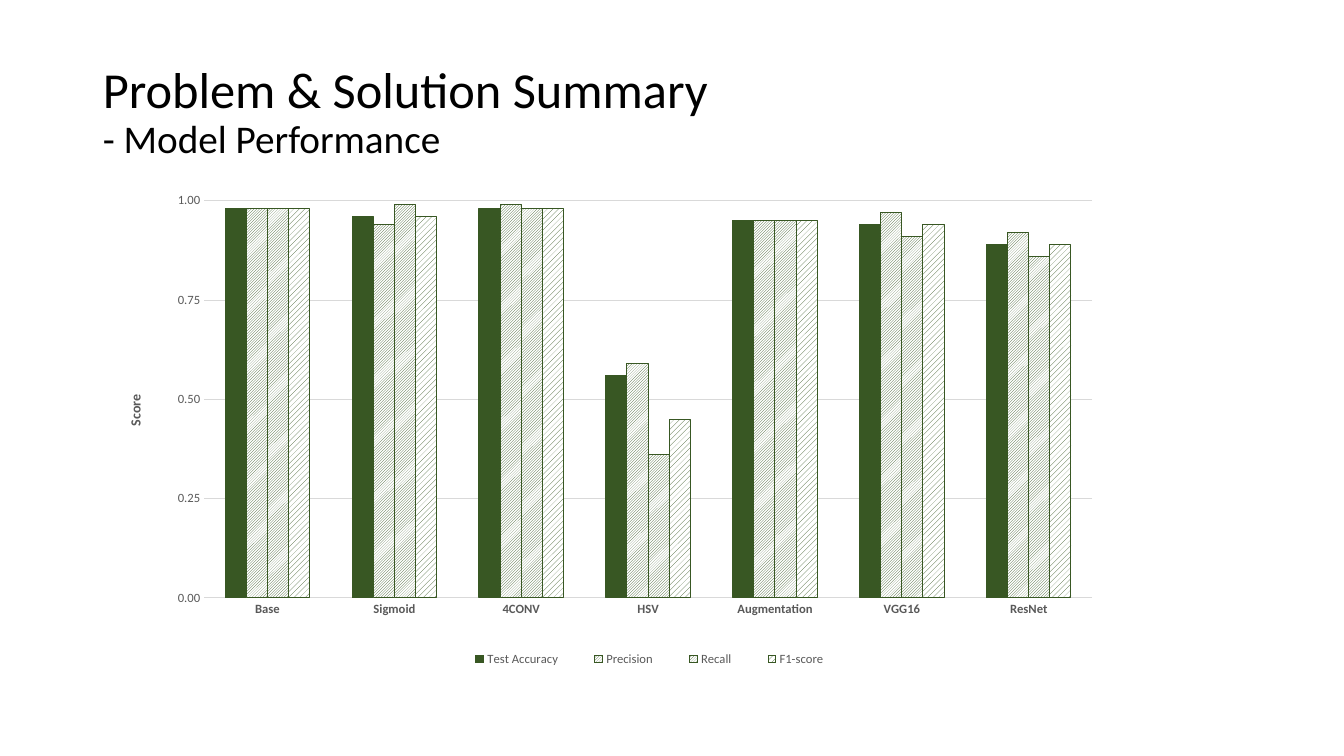
from copy import deepcopy
from typing import NamedTuple, Optional

from lxml import etree
from pptx import Presentation
from pptx.chart.data import CategoryChartData
from pptx.dml.color import RGBColor
from pptx.enum.chart import XL_CHART_TYPE as ChartType
from pptx.enum.chart import XL_LEGEND_POSITION as LegendPos
from pptx.enum.chart import XL_TICK_MARK as Tick
from pptx.enum.dml import MSO_PATTERN as Pattern
from pptx.enum.text import MSO_ANCHOR as Anchor
from pptx.oxml.ns import qn
from pptx.util import Inches, Pt

BLACK = RGBColor(0x00, 0x00, 0x00)
WHITE = RGBColor(0xFF, 0xFF, 0xFF)
GREEN = RGBColor(0x38, 0x57, 0x23)
GRAY = RGBColor(0x59, 0x59, 0x59)
LIGHT_GRAY = RGBColor(0xD9, 0xD9, 0xD9)
FONT = "Calibri"


class Score(NamedTuple):
    name: str
    values: tuple[float, ...]
    pattern: Optional[Pattern] = None


MODELS = ("Base", "Sigmoid", "4CONV", "HSV", "Augmentation", "VGG16", "ResNet")
SCORES = (
    Score("Test Accuracy", (0.98, 0.96, 0.98, 0.56, 0.95, 0.94, 0.89)),
    Score("Precision", (0.98, 0.94, 0.99, 0.59, 0.95, 0.97, 0.92),
          Pattern.LIGHT_UPWARD_DIAGONAL),
    Score("Recall", (0.98, 0.99, 0.98, 0.36, 0.95, 0.91, 0.86),
          Pattern.DARK_UPWARD_DIAGONAL),
    Score("F1-score", (0.98, 0.96, 0.98, 0.45, 0.95, 0.94, 0.89),
          Pattern.WIDE_UPWARD_DIAGONAL),
)


def style_font(font, size: float, color: RGBColor, bold: bool = False) -> None:
    font.name, font.size, font.bold = FONT, Pt(size), bold
    font.color.rgb = color


def style_line(line, color: RGBColor) -> None:
    line.color.rgb = color
    line.width = Pt(0.75)


def set_layout(element, index: int, inner: bool = False, **shares: float) -> None:
    """Place a chart part by shares of the chart area."""
    for old in element.findall(qn("c:layout")):
        element.remove(old)
    layout = etree.Element(qn("c:layout"))
    manual = etree.SubElement(layout, qn("c:manualLayout"))
    settings = {"layoutTarget": "inner"} if inner else {}
    settings |= {"xMode": "edge", "yMode": "edge"}
    settings |= {key: str(share) for key, share in shares.items()}
    for key, value in settings.items():
        etree.SubElement(manual, qn(f"c:{key}")).set("val", value)
    element.insert(index, layout)


def fill_title(title) -> None:
    title.left, title.top = Inches(0.92), Inches(0.4)
    title.width, title.height = Inches(11.5), Inches(1.45)
    tf = title.text_frame
    tf.text = "Problem & Solution Summary\v- Model Performance"
    tf.vertical_anchor = Anchor.MIDDLE
    p = tf.paragraphs[0]
    p.line_spacing = 0.9
    for r, size in zip(p.runs, (36, 28)):
        style_font(r.font, size, BLACK)
    # The line break takes the size of the first line
    p._p.find(qn("a:br")).append(deepcopy(p.runs[0]._r.rPr))


def add_score_chart(s):
    data = CategoryChartData(number_format="0.00")
    data.categories = MODELS
    for score in SCORES:
        data.add_series(score.name, score.values)
    chart = s.shapes.add_chart(
        ChartType.COLUMN_CLUSTERED, Inches(0.92), Inches(1.66),
        Inches(10.23), Inches(5.19), data).chart
    chart.has_title = False
    style_font(chart.font, 10, BLACK)

    # Columns
    plot = chart.plots[0]
    plot.gap_width, plot.overlap = 200, 0
    plot.vary_by_categories = False
    for series, score in zip(plot.series, SCORES):
        fill = series.format.fill
        if score.pattern is None:
            fill.solid()
            fill.fore_color.rgb = GREEN
        else:
            fill.patterned()
            fill.pattern = score.pattern
            fill.fore_color.rgb, fill.back_color.rgb = GREEN, WHITE
        style_line(series.format.line, GREEN)
    set_layout(chart._chartSpace.chart.plotArea, 0, inner=True,
               x=0.108, y=0.064, w=0.861, h=0.759)
    return chart


def format_axes(chart) -> None:
    models, values = chart.category_axis, chart.value_axis
    for axis in (models, values):
        axis.major_tick_mark = axis.minor_tick_mark = Tick.NONE
        style_font(axis.tick_labels.font, 9, GRAY, bold=axis is models)
    style_line(models.format.line, LIGHT_GRAY)

    values.minimum_scale, values.maximum_scale, values.major_unit = 0, 1, 0.25
    values.tick_labels.number_format = "0.00"
    values.tick_labels.number_format_is_linked = False
    values.format.line.fill.background()
    values.has_major_gridlines = True
    style_line(values.major_gridlines.format.line, LIGHT_GRAY)

    title = values.axis_title
    title.text_frame.text = "Score"
    style_font(title.text_frame.paragraphs[0].runs[0].font, 10, GRAY, bold=True)
    set_layout(title._element, 1, x=0.03, y=0.43)


def format_legend(chart) -> None:
    chart.has_legend = True
    legend = chart.legend
    legend.position = LegendPos.BOTTOM
    legend.include_in_layout = False
    style_font(legend.font, 9, GRAY)
    set_layout(legend._element, 1, x=0.34, y=0.91, w=0.4, h=0.06)


prs = Presentation()
prs.slide_width, prs.slide_height = Inches(13.33), Inches(7.5)
s = prs.slides.add_slide(prs.slide_layouts.get_by_name("Title Only"))

# Heading
fill_title(s.shapes.title)
s.shapes.title.text_frame.paragraphs[0].alignment = 1

# Model scores
chart = add_score_chart(s)
format_axes(chart)
format_legend(chart)

prs.save("out.pptx")
